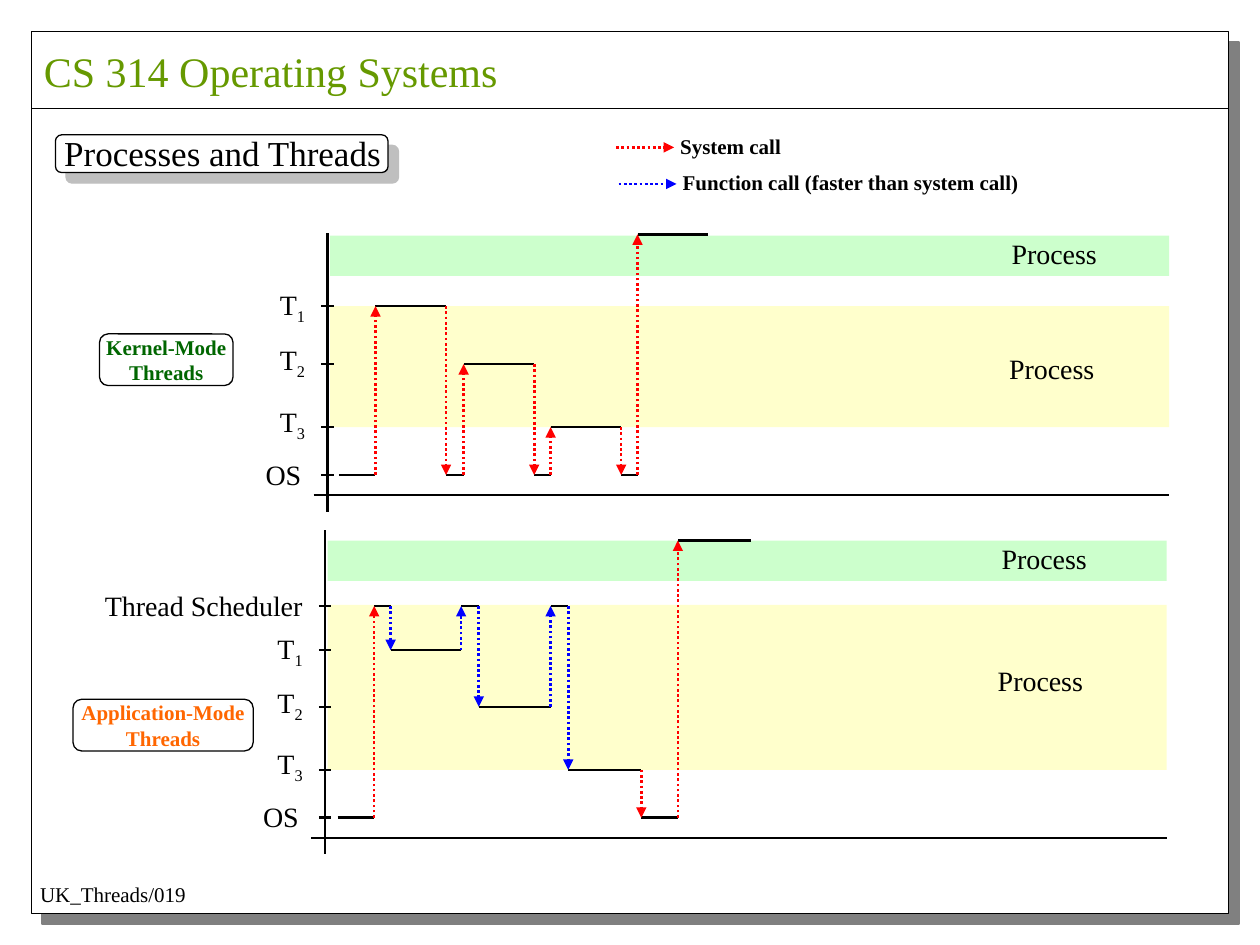
from lxml.etree import SubElement
from pptx import Presentation
from pptx.dml.color import RGBColor
from pptx.enum.dml import MSO_LINE
from pptx.enum.shapes import MSO_CONNECTOR, MSO_SHAPE
from pptx.enum.text import MSO_ANCHOR, MSO_AUTO_SIZE, PP_ALIGN
from pptx.oxml.ns import qn
from pptx.util import Inches, Pt

FONT = "Times New Roman"
BLACK, WHITE, RED, BLUE = "000000", "FFFFFF", "FF0000", "0000FF"
GREEN_BAND, YELLOW_BAND = "CCFFCC", "FFFFCC"

KERNEL = {
    "bands": [(0.02, 0.32, GREEN_BAND, 5.33, -0.02), (0.58, 0.96, YELLOW_BAND, 5.31, 0.89)],
    "levels": {"Process": 0.01, "T1": 0.58, "T2": 1.04, "T3": 1.54, "OS": 1.92},
    "trace": ["OS", "T1", "OS", "T2", "OS", "T3", "OS", "Process"],
    "switches": [0.09, 0.38, 0.94, 1.08, 1.64, 1.77, 2.33, 2.46, 3.02],
}
APPLICATION = {
    "bands": [(0.08, 0.32, GREEN_BAND, 5.27, 0.04), (0.59, 1.31, YELLOW_BAND, 5.24, 1.01)],
    "levels": {"Process": 0.08, "Thread Scheduler": 0.6, "T1": 0.95, "T2": 1.4,
               "T3": 1.9, "OS": 2.28},
    "trace": ["OS", "Thread Scheduler", "T1", "Thread Scheduler", "T2",
              "Thread Scheduler", "T3", "OS", "Process"],
    "switches": [0.1, 0.39, 0.52, 1.08, 1.22, 1.79, 1.93, 2.51, 2.8, 3.38],
}
LABEL_LAYOUT = {"Thread Scheduler": (1.8, 0.08, 0.19), "OS": (0.5, 0.11, 0.19),
                "T1": (0.41, 0.08, 0.2), "T2": (0.41, 0.08, 0.22), "T3": (0.41, 0.08, 0.23)}


def color(value):
    """Turn a hex string into a colour."""
    return RGBColor.from_string(value)


def add_shadow(shape, shade, opacity):
    """Give a shape a hard shadow to its lower right."""
    effects = shape._element.spPr.find(qn("a:effectLst"))
    shadow = SubElement(effects, qn("a:outerShdw"), dist=str(Pt(8.5)), dir="2700000",
                        algn="ctr", rotWithShape="0")
    tint = SubElement(shadow, qn("a:srgbClr"), val=shade)
    SubElement(tint, qn("a:alpha"), val=str(opacity * 1000))


def add_box(slide, kind, left, top, width, height, fill=None, line=None):
    """Add a preset shape with an optional fill and outline."""
    shape = slide.shapes.add_shape(kind, Inches(left), Inches(top), Inches(width), Inches(height))
    shape.shadow.inherit = False
    if fill:
        shape.fill.solid()
        shape.fill.fore_color.rgb = color(fill)
    else:
        shape.fill.background()
    if line:
        shape.line.color.rgb = color(line)
        shape.line.width = Pt(0.75)
    else:
        shape.line.fill.background()
    return shape


def add_line(slide, start, end, line_color=BLACK, width=1.5):
    """Add a straight line between two points."""
    line = slide.shapes.add_connector(MSO_CONNECTOR.STRAIGHT, *map(Inches, start + end))
    line.line.color.rgb = color(line_color)
    line.line.width = Pt(width)
    SubElement(line._element.spPr, qn("a:effectLst"))
    return line


def add_call(slide, start, end, line_color):
    """Add a dotted call arrow."""
    arrow = add_line(slide, start, end, line_color)
    arrow.line.dash_style = MSO_LINE.ROUND_DOT
    SubElement(arrow.line._get_or_add_ln(), qn("a:tailEnd"), type="triangle")


def style_paragraph(paragraph, size, text_color=BLACK, bold=False, align=PP_ALIGN.LEFT):
    """Format a whole paragraph."""
    paragraph.alignment = align
    paragraph.font.name = FONT
    paragraph.font.size = Pt(size)
    paragraph.font.bold = bold
    paragraph.font.color.rgb = color(text_color)


def add_text(slide, text, left, top, width, height, size, **style):
    """Add a single-line text box."""
    frame = slide.shapes.add_textbox(
        Inches(left), Inches(top), Inches(width), Inches(height)).text_frame
    frame.word_wrap = False
    frame.auto_size = MSO_AUTO_SIZE.SHAPE_TO_FIT_TEXT
    paragraph = frame.paragraphs[0]
    paragraph.text = text
    style_paragraph(paragraph, size, **style)
    return paragraph


def add_frame(slide, left, top, width, height):
    """Draw the page frame with course name, rule and footer."""
    frame = add_box(slide, MSO_SHAPE.RECTANGLE, left, top, width, height, WHITE, BLACK)
    add_shadow(frame, "808080", 100)
    rule_y = top + 0.61
    add_line(slide, (left, rule_y), (left + width, rule_y), width=0.75)
    add_text(slide, "CS 314 Operating Systems", left, top + 0.06, 3.8, 0.5, 24,
             text_color="669900")
    add_text(slide, "UK_Threads/019", left - 0.03, top + height - 0.3, 1.36, 0.3, 12)


def add_title(slide, left, top, width, height):
    """Place the slide title on a shadowed rounded box."""
    box = add_box(slide, MSO_SHAPE.ROUNDED_RECTANGLE, left, top, width, height, WHITE, BLACK)
    add_shadow(box, "808080", 50)
    title = slide.shapes.title
    title.left, title.top = Inches(left - 0.03), Inches(top - 0.08)
    title.width, title.height = Inches(2.72), Inches(0.44)
    title.text_frame.text = "Processes and Threads"
    title.text_frame.word_wrap = False
    title.text_frame.vertical_anchor = MSO_ANCHOR.TOP
    style_paragraph(title.text_frame.paragraphs[0], 20)
    box._element.addnext(title._element)


def add_legend(slide, left, top):
    """Explain the two arrow colours."""
    entries = [("System call", RED, 1), ("Function call (faster than system call)", BLUE, 2.87)]
    for index, (text, line_color, width) in enumerate(entries):
        x, y = left + 0.02 * index, top + 0.29 * index
        add_call(slide, (x, y + 0.16), (x + 0.46, y + 0.16), line_color)
        add_text(slide, text, x + 0.41, y, width, 0.3, 12, bold=True)


def add_mode_label(slide, mode, left, top, width, height, text_color):
    """Add the rounded label naming a thread mode."""
    box = add_box(slide, MSO_SHAPE.ROUNDED_RECTANGLE, left, top, width, height, line=BLACK)
    frame = box.text_frame
    frame.word_wrap = False
    frame.margin_left = frame.margin_right = frame.margin_top = frame.margin_bottom = 0
    frame.text = f"{mode}\nThreads"
    for paragraph in frame.paragraphs:
        style_paragraph(paragraph, 12, text_color, True, PP_ALIGN.CENTER)


def add_level(slide, name, axis_x, y):
    """Mark one level on the vertical axis with a tick and its name."""
    add_line(slide, (axis_x - 0.05, y), (axis_x + 0.05, y))
    width, gap, rise = LABEL_LAYOUT[name]
    is_thread = name[1:].isdigit()
    paragraph = add_text(slide, name[0] if is_thread else name, axis_x - gap - width, y - rise,
                         width, 0.37, 16, align=PP_ALIGN.RIGHT)
    if is_thread:
        subscript = paragraph.add_run()
        subscript.text = name[1:]
        subscript._r.get_or_add_rPr().set("baseline", "-25000")


def add_timeline(slide, left, top, width, height, chart):
    """Draw a scheduling timeline with bands, axes, levels and trace."""
    for offset, depth, fill, label_x, label_y in chart["bands"]:
        add_box(slide, MSO_SHAPE.RECTANGLE, left + 0.02, top + offset, width - 0.02, depth, fill)
        add_text(slide, "Process", left + label_x, top + label_y, 0.88, 0.37, 16)
    add_line(slide, (left, top), (left, top + height))
    base_y = top + height - 0.13
    add_line(slide, (left - 0.11, base_y), (left + width, base_y))

    levels = {name: top + offset for name, offset in chart["levels"].items()}
    for name, y in levels.items():
        if name != "Process":
            add_level(slide, name, left, y)

    trace = chart["trace"]
    switches = [left + x for x in chart["switches"]]
    for name, start, end in zip(trace, switches, switches[1:]):
        add_line(slide, (start, levels[name]), (end, levels[name]))
    for source, target, x in zip(trace, trace[1:], switches[1:]):
        call_color = RED if "OS" in (source, target) else BLUE
        add_call(slide, (x, levels[source]), (x, levels[target]), call_color)


def main():
    """Build and save the slide."""
    presentation = Presentation()
    presentation.slide_width, presentation.slide_height = Inches(10), Inches(7.5)
    slide = presentation.slides.add_slide(presentation.slide_layouts[5])
    add_frame(slide, 0.25, 0.25, 9.5, 7)
    add_title(slide, 0.44, 1.07, 2.64, 0.3)
    add_legend(slide, 4.89, 1.01)
    add_mode_label(slide, "Kernel-Mode", 0.79, 2.65, 1.06, 0.41, "006600")
    add_timeline(slide, 2.6, 1.85, 6.68, 2.21, KERNEL)
    add_mode_label(slide, "Application-Mode", 0.58, 5.55, 1.43, 0.41, "FF6600")
    add_timeline(slide, 2.58, 4.21, 6.68, 2.57, APPLICATION)
    presentation.save("out.pptx")


if __name__ == "__main__":
    main()
